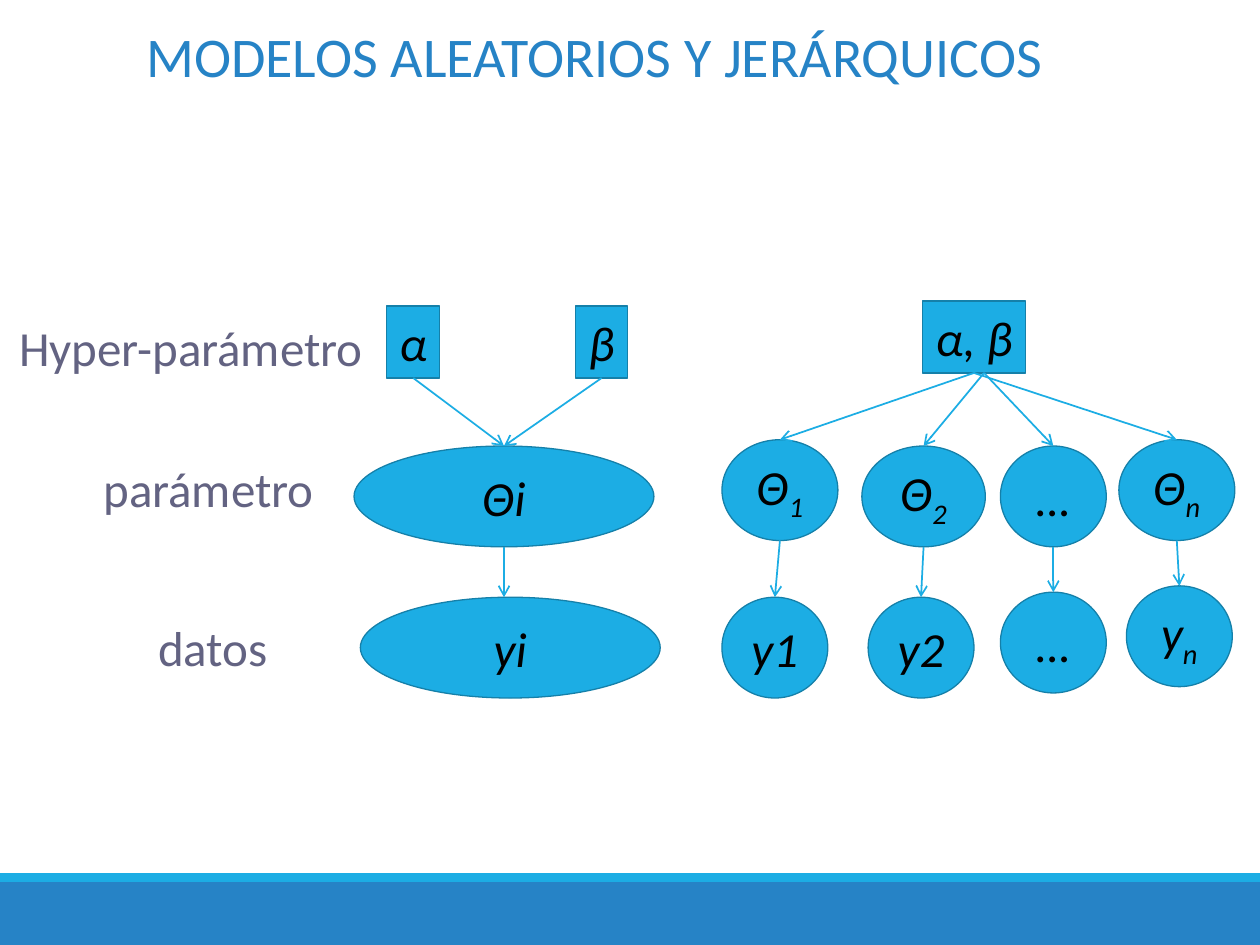
import pptx
import pptx.util
from lxml import etree
from pptx.dml.color import RGBColor
from pptx.enum.shapes import MSO_CONNECTOR, MSO_SHAPE
from pptx.enum.text import MSO_ANCHOR, PP_ALIGN
from pptx.oxml.ns import qn
from pptx.util import Inches, Pt

BLUE = RGBColor(0x26, 0x83, 0xC6)
CYAN = RGBColor(0x1C, 0xAD, 0xE4)
EDGE = RGBColor(0x15, 0x80, 0xA9)
SLATE = RGBColor(0x63, 0x63, 0x82)
BLACK = RGBColor(0, 0, 0)
FONT = "Calibri"

TITLE = "MODELOS ALEATORIOS Y JERÁRQUICOS"
BANDS = [(7, 0.5, BLUE), (6.93, 0.07, CYAN)]  # top, height, colour
LEVELS = [  # text, left, top, width
    ("Hyper-parámetro", 0, 2.47, 3.03),
    ("parámetro", 0.62, 3.59, 2.07),
    ("datos", 1.06, 4.85, 1.26),
]

BOX_HEIGHT, OVAL_HEIGHT = 0.57, 0.8
# key: text, subscript, left, top, width
HYPERPARAMETERS = {
    "alpha": ("α", "", 3.07, 2.43, 0.42),
    "beta": ("β", "", 4.57, 2.43, 0.41),
    "both": ("α, β", "", 7.32, 2.39, 0.82),
}
VARIABLES = {
    "theta i": ("Θi", "", 2.81, 3.54, 2.38),
    "theta 1": ("Θ", "1", 5.73, 3.49, 0.92),
    "theta 2": ("Θ", "2", 6.84, 3.54, 0.98),
    "theta dots": ("…", "", 7.94, 3.54, 0.84),
    "theta n": ("Θ", "n", 8.88, 3.49, 0.92),
    "y i": ("yi", "", 2.86, 4.74, 2.38),
    "y 1": ("y1", "", 5.73, 4.74, 0.84),
    "y 2": ("y2", "", 6.89, 4.74, 0.84),
    "y dots": ("…", "", 7.94, 4.7, 0.84),
    "y n": ("y", "n", 8.94, 4.65, 0.84),
}
# source, target, shift of the start, shift of the end
ARROWS = [
    ("alpha", "theta i", 0, 0),
    ("beta", "theta i", 0, 0),
    ("theta i", "y i", 0, -0.05),
    ("both", "theta 1", 0, 0),
    ("both", "theta 2", 0.08, 0),
    ("both", "theta dots", 0.08, 0),
    ("both", "theta n", 0, 0),
    ("theta 1", "y 1", 0, 0),
    ("theta 2", "y 2", 0, 0),
    ("theta dots", "y dots", 0, 0),
    ("theta n", "y n", 0, 0),
]


def write(frame, text, size, colour, align, italic=False, subscript=""):
    paragraph = frame.paragraphs[0]
    paragraph.alignment = align
    font = paragraph.font
    font.name, font.size, font.italic = FONT, Pt(size), italic
    font.color.rgb = colour
    paragraph.add_run().text = text
    if subscript:
        run = paragraph.add_run()
        run.text = subscript
        run._r.get_or_add_rPr().set("baseline", "-25000")


def add_filled(slide, preset, left, top, width, height, fill):
    shape = slide.shapes.add_shape(
        preset, Inches(left), Inches(top), Inches(width), Inches(height))
    shape.shadow.inherit = False
    shape.fill.solid()
    shape.fill.fore_color.rgb = fill
    return shape


def add_node(slide, preset, node, height):
    text, subscript, left, top, width = node
    shape = add_filled(slide, preset, left, top, width, height, CYAN)
    shape.line.color.rgb = EDGE
    shape.line.width = Pt(0.75)
    frame = shape.text_frame
    frame.word_wrap = False
    frame.vertical_anchor = MSO_ANCHOR.MIDDLE
    write(frame, text, 28, BLACK, PP_ALIGN.CENTER, True, subscript)


def add_arrow(slide, start, end):
    arrow = slide.shapes.add_connector(
        MSO_CONNECTOR.STRAIGHT, *map(Inches, (*start, *end)))
    arrow.line.color.rgb = CYAN
    arrow.line.width = Pt(1)
    etree.SubElement(arrow.line._get_or_add_ln(), qn("a:tailEnd"), type="arrow")
    etree.SubElement(arrow._element.spPr, qn("a:effectLst"))


def main():
    deck = pptx.Presentation()
    deck.slide_width, deck.slide_height = Inches(10), Inches(7.5)
    slide = deck.slides.add_slide(deck.slide_layouts[5])

    for top, height, colour in BANDS:
        band = add_filled(slide, MSO_SHAPE.RECTANGLE, 0, top, 10, height, colour)
        band.line.fill.background()

    title = slide.shapes.title
    title.left, title.top = Inches(1.06), Inches(0.12)
    title.width, title.height = Inches(8.9), Inches(0.64)
    title.text_frame.vertical_anchor = MSO_ANCHOR.TOP
    write(title.text_frame, TITLE, 32, BLUE, PP_ALIGN.LEFT)

    for text, left, top, width in LEVELS:
        label = slide.shapes.add_textbox(
            Inches(left), Inches(top), Inches(width), Inches(BOX_HEIGHT))
        label.text_frame.word_wrap = True
        write(label.text_frame, text, 28, SLATE, PP_ALIGN.CENTER)

    tops, bottoms = {}, {}  # middle of each node's upper and lower edge
    for nodes, preset, height in (
        (HYPERPARAMETERS, MSO_SHAPE.RECTANGLE, BOX_HEIGHT),
        (VARIABLES, MSO_SHAPE.OVAL, OVAL_HEIGHT),
    ):
        for key, node in nodes.items():
            add_node(slide, preset, node, height)
            left, top, width = node[2:]
            tops[key] = (left + width / 2, top)
            bottoms[key] = (left + width / 2, top + height)

    for source, target, start_shift, end_shift in ARROWS:
        start_x, start_y = bottoms[source]
        end_x, end_y = tops[target]
        add_arrow(slide, (start_x + start_shift, start_y), (end_x + end_shift, end_y))

    deck.save("out.pptx")


if __name__ == "__main__":
    main()
